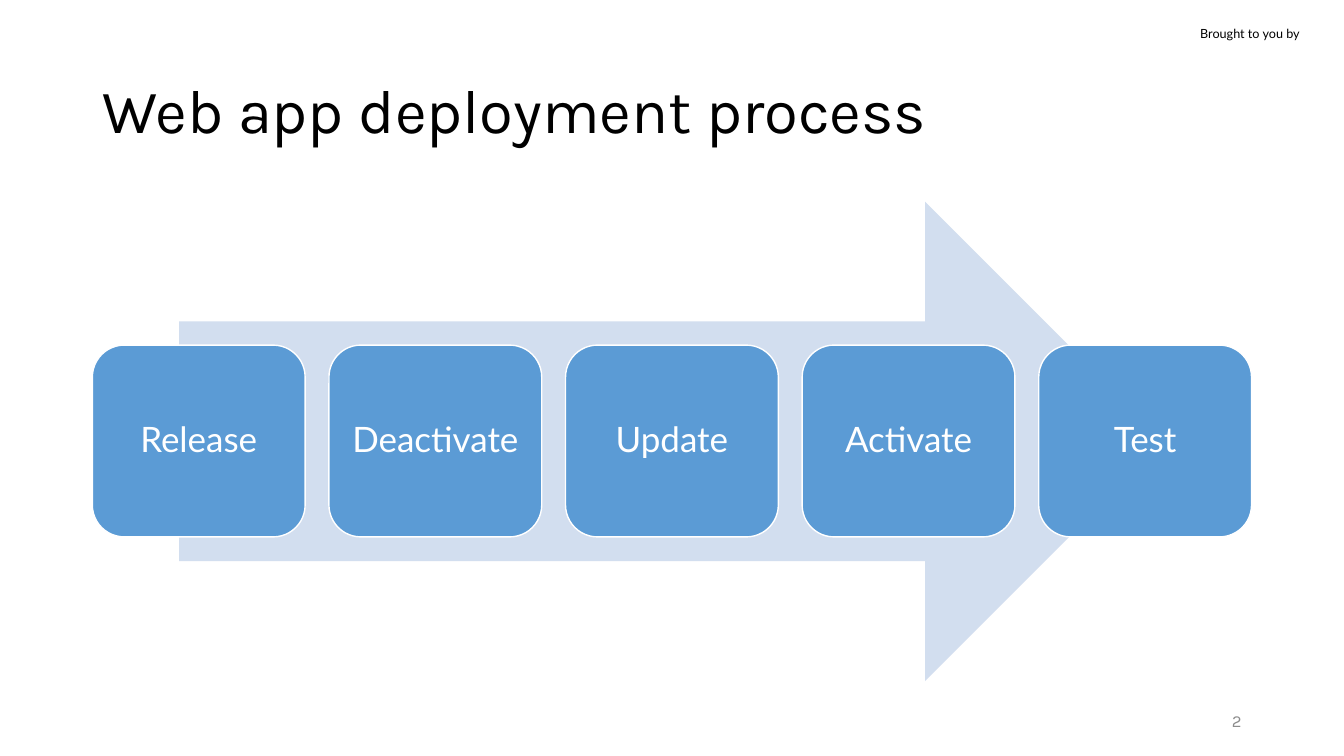
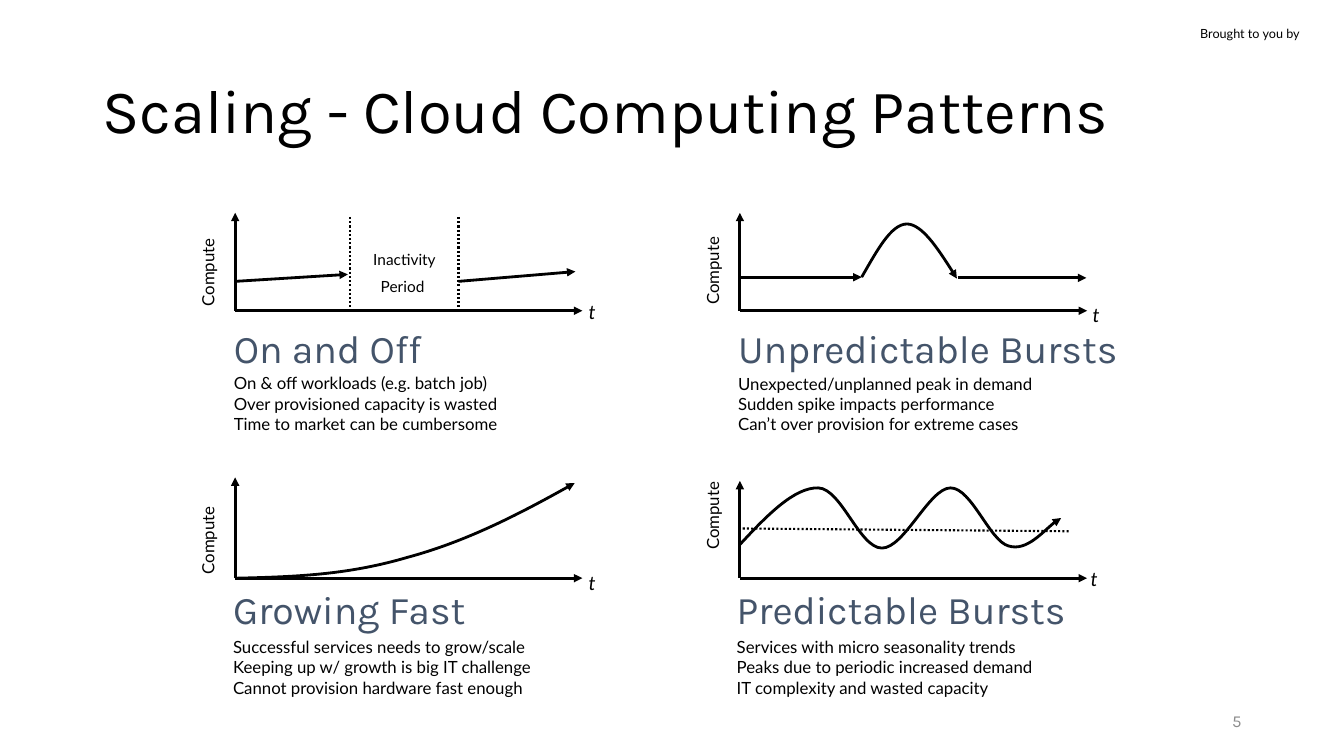
from dataclasses import dataclass

from pptx import Presentation
from pptx import util as u
from pptx.dml.color import RGBColor
from pptx.enum import dml, shapes, text
from pptx.oxml.ns import qn
from lxml import etree

BLACK = RGBColor(0x00, 0x00, 0x00)
WHITE = RGBColor(0xFF, 0xFF, 0xFF)
GRAY = RGBColor(0x8C, 0x8C, 0x8C)
SLATE = RGBColor(0x44, 0x54, 0x6A)
BLUE = RGBColor(0x5B, 0x9B, 0xD5)
PALE_BLUE = RGBColor(0xD2, 0xDE, 0xEF)

HEADING_FONT = "Karla"
BODY_FONT = "Lato"
MARGIN = 66
CONTENT_WIDTH = 828
STANDARD_INSETS = (7.2, 3.6)
NO_INSETS = (0, 0)
AXIS_LENGTH = 248


@dataclass
class Panel:
    """One small graph; its marks are measured right and up from its origin."""
    origin: tuple
    axis_height: float
    label_rise: float
    t_offset: tuple
    heading_box: tuple
    body_box: tuple
    heading: str
    lines: list

    def point(self, right, up):
        return self.origin[0] + right, self.origin[1] - up


ON_OFF = Panel(
    (168, 222), 70, 27.5, (252.5, 8),
    (167, 232, 240, 38), (167, 266.5, 284, 44), "On and Off",
    ["On & off workloads (e.g. batch job)",
     "Over provisioned capacity is wasted",
     "Time to market can be cumbersome"])
UNPREDICTABLE = Panel(
    (528.5, 222), 70, 28.5, (252, 6),
    (527.25, 232, 301, 38), (527.25, 267, 240, 44), "Unpredictable Bursts",
    ["Unexpected/unplanned peak in demand",
     "Sudden spike impacts performance",
     "Can’t over provision for extreme cases"])
GROWING = Panel(
    (168, 413), 72, 27, (252.5, 5.5),
    (166.5, 418.5, 246, 38), (166.5, 455, 246, 44), "Growing Fast",
    ["Successful services needs to grow/scale",
     "Keeping up w/ growth is big IT challenge",
     "Cannot provision hardware fast enough"])
PREDICTABLE = Panel(
    (528.5, 413), 69.5, 44.5, (250.5, 8),
    (526.25, 418.5, 310, 38), (526.25, 455, 251, 44), "Predictable Bursts",
    ["Services with micro seasonality trends",
     "Peaks due to periodic increased demand",
     "IT complexity and wasted capacity"])

# Each curve is a start point followed by triples of Bézier points.
BURST = [(87, 24), (98, 43), (108, 62), (119.5, 62),
         (130, 61.5), (142.5, 43), (155, 23)]
GROWTH = [(0, 0), (48, 1), (82.5, 3), (123.5, 15),
          (164, 26), (203.5, 46), (242.5, 68)]
WAVE = [(0, 24), (19.5, 45), (39, 65), (56, 64.5),
        (72.5, 64), (85.5, 21.5), (101.5, 21.5),
        (117.5, 21.5), (135.5, 64.5), (150.5, 64.5),
        (165.5, 64.5), (178.5, 26.5), (192, 23),
        (205, 19), (222.5, 40), (229.5, 43)]


def points(*values):
    return [u.Pt(value) for value in values]


def write_text(shape, lines, *, size, font=BODY_FONT, color=BLACK, italic=False,
               align=text.PP_ALIGN.LEFT, anchor=text.MSO_ANCHOR.TOP,
               insets=STANDARD_INSETS, line_spacing=None, space_after=0):
    frame = shape.text_frame
    frame.word_wrap = True
    frame.vertical_anchor = anchor
    frame.margin_left = frame.margin_right = u.Pt(insets[0])
    frame.margin_top = frame.margin_bottom = u.Pt(insets[1])
    for index, line in enumerate(lines):
        paragraph = frame.add_paragraph() if index else frame.paragraphs[0]
        paragraph.alignment = align
        paragraph.line_spacing = line_spacing
        paragraph.space_after = u.Pt(space_after)
        run = paragraph.add_run()
        run.text = line
        run.font.name = font
        run.font.size = u.Pt(size)
        run.font.color.rgb = color
        run.font.italic = italic


def add_text(slide, box, *lines, **text_format):
    shape = slide.shapes.add_textbox(*points(*box))
    write_text(shape, lines, **text_format)
    return shape


def add_block(slide, kind, box, fill, outline=None):
    shape = slide.shapes.add_shape(kind, *points(*box))
    shape.shadow.inherit = False
    shape.fill.solid()
    shape.fill.fore_color.rgb = fill
    if outline is None:
        shape.line.fill.background()
    else:
        shape.line.color.rgb = outline
        shape.line.width = u.Pt(1)
    return shape


def style_stroke(shape, dotted=False):
    """Dotted strokes are thinner; solid ones end in an arrowhead."""
    line = shape.line
    line.color.rgb = BLACK
    line.width = u.Pt(1.5 if dotted else 2)
    if dotted:
        line.dash_style = dml.MSO_LINE.ROUND_DOT
    else:
        properties = shape._element.spPr.find(qn("a:ln"))
        etree.SubElement(properties, qn("a:tailEnd"), type="triangle")
    etree.SubElement(shape._element.spPr, qn("a:effectLst"))


def add_line(slide, panel, start, end, dotted=False):
    ends = points(*panel.point(*start), *panel.point(*end))
    line = slide.shapes.add_connector(shapes.MSO_CONNECTOR.STRAIGHT, *ends)
    style_stroke(line, dotted)


def bend_segments(shape):
    """Turn every three straight segments into one cubic Bézier segment."""
    segments = list(shape._element.iter(qn("a:lnTo")))
    for first in range(0, len(segments), 3):
        bezier = etree.Element(qn("a:cubicBezTo"))
        segments[first].addprevious(bezier)
        for segment in segments[first:first + 3]:
            bezier.append(segment[0])
            segment.getparent().remove(segment)


def add_curve(slide, panel, controls):
    start, *others = [points(*panel.point(*control)) for control in controls]
    builder = slide.shapes.build_freeform(*start)
    builder.add_line_segments(others, close=False)
    curve = builder.convert_to_shape()
    bend_segments(curve)
    curve.fill.background()
    style_stroke(curve)


def add_panel(slide, panel):
    """Axes, axis labels, heading and description."""
    add_line(slide, panel, (0, 0), (0, panel.axis_height))
    add_line(slide, panel, (0, 0), (AXIS_LENGTH, 0))
    label_x, label_y = panel.point(-17.75, panel.label_rise)
    label = add_text(slide, (label_x - 40, label_y - 9.5, 80, 19), "Compute",
                     size=12, align=text.PP_ALIGN.CENTER,
                     anchor=text.MSO_ANCHOR.MIDDLE, line_spacing=u.Pt(10.7))
    label.rotation = 270
    add_text(slide, (*panel.point(*panel.t_offset), 16.5, 12), "t",
             size=14, italic=True, insets=NO_INSETS)
    add_text(slide, panel.heading_box, panel.heading, size=28,
             font=HEADING_FONT, color=SLATE, insets=(0, 3.6), line_spacing=0.9)
    add_text(slide, panel.body_box, *panel.lines, size=12, insets=NO_INSETS)


def add_slide(presentation, title, number):
    """Blank slide with the shared corner note, title and number."""
    slide = presentation.slides.add_slide(presentation.slide_layouts[6])
    add_text(slide, (850.25, 15, 94, 18), "Brought to you by", size=9)
    add_text(slide, (MARGIN, 29, CONTENT_WIDTH, 104), title, size=44,
             font=HEADING_FONT, anchor=text.MSO_ANCHOR.MIDDLE, line_spacing=0.9)
    add_text(slide, (678, 500, 216, 29), number, size=12, font=HEADING_FONT,
             color=GRAY, align=text.PP_ALIGN.RIGHT,
             anchor=text.MSO_ANCHOR.MIDDLE)
    return slide


def add_process(slide, steps):
    """Equal boxes across the content width, over a wide arrow."""
    add_block(slide, shapes.MSO_SHAPE.RIGHT_ARROW, (128, 144, 704, 342.5), PALE_BLUE)
    width = 152
    gap = (CONTENT_WIDTH - len(steps) * width) / (len(steps) - 1)
    for index, step in enumerate(steps):
        box = (MARGIN + index * (width + gap), 246.5, width, 137)
        block = add_block(slide, shapes.MSO_SHAPE.ROUNDED_RECTANGLE, box, BLUE, WHITE)
        write_text(block, [step], size=25, color=WHITE, line_spacing=0.9,
                   align=text.PP_ALIGN.CENTER, anchor=text.MSO_ANCHOR.MIDDLE)


def add_patterns(slide):
    for panel in (ON_OFF, UNPREDICTABLE, GROWING, PREDICTABLE):
        add_panel(slide, panel)

    add_line(slide, ON_OFF, (0, 21), (80.5, 26))
    add_line(slide, ON_OFF, (159.5, 21), (243, 28))
    for edge in (82, 159.5):
        add_line(slide, ON_OFF, (edge, 67), (edge, 0), dotted=True)
    add_text(slide, (*ON_OFF.point(77, 40.5), 88, 38), "Inactivity", "Period ",
             size=11, align=text.PP_ALIGN.CENTER, insets=NO_INSETS,
             line_spacing=u.Pt(10.7), space_after=8)

    add_line(slide, UNPREDICTABLE, (0, 24), (87, 24))
    add_curve(slide, UNPREDICTABLE, BURST)
    add_line(slide, UNPREDICTABLE, (155.5, 23.5), (247.5, 23.5))

    add_curve(slide, GROWING, GROWTH)

    add_curve(slide, PREDICTABLE, WAVE)
    add_line(slide, PREDICTABLE, (2, 35.5), (235.5, 33.5), dotted=True)


def main():
    presentation = Presentation()
    presentation.slide_width, presentation.slide_height = points(960, 540)
    process = add_slide(presentation, "Web app deployment process", "2")
    add_process(process, ["Release", "Deactivate", "Update", "Activate", "Test"])
    patterns = add_slide(presentation, "Scaling - Cloud Computing Patterns", "5")
    add_patterns(patterns)
    presentation.save("out.pptx")


if __name__ == "__main__":
    main()
